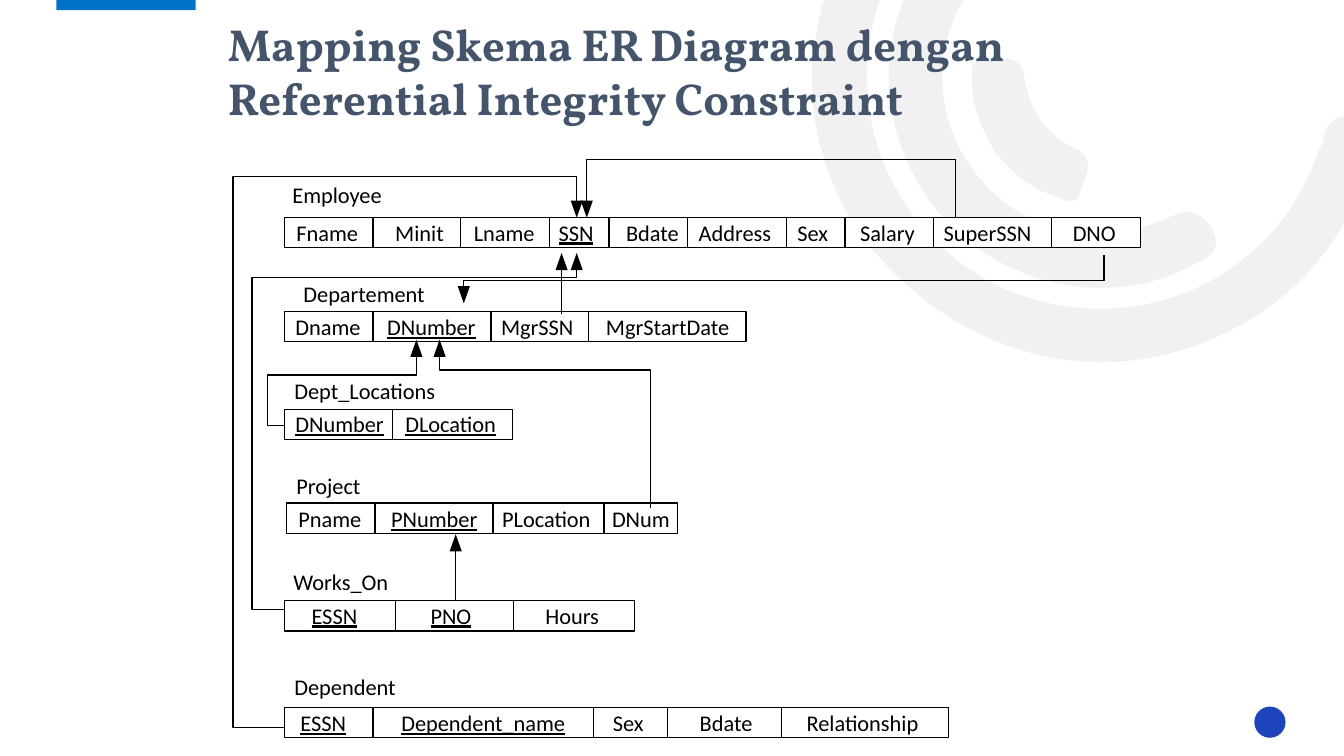
"""Build the slide on mapping an ER diagram with referential integrity."""
from dataclasses import dataclass

from lxml import etree
from pptx import Presentation
from pptx import util as u
from pptx.dml.color import RGBColor
from pptx.enum import shapes, text
from pptx.oxml.ns import qn


@dataclass(frozen=True)
class Theme:
    """Hold the colours, fonts and sizes of the slide."""
    title: str = "44546A"
    ink: str = "000000"
    paper: str = "FFFFFF"
    swirl: str = "E7E6E6"
    swirl_alpha: int = 53
    bar: str = "0072C7"
    dot: str = "1E44BC"
    head_font: str = "Vollkorn"
    body_font: str = "Calibri"
    head_size: int = 32
    body_size: int = 16
    line: float = 0.88
    thin: float = 0.75


T = Theme()
ROW_HEIGHT = 0.3
LABEL_HEIGHT = 0.27

TABLES = [
    ("Employee", (2.90, 1.80, 1.09), 2.82, 2.16, 0.01, [
        (0.88, 0.12, 0.75, "Fname", False), (0.87, 0.22, 0.51, "Minit", False),
        (0.88, 0.13, 0.75, "Lname", False), (0.59, 0.09, 0.39, "SSN", True),
        (0.78, 0.17, 0.66, "Bdate", False), (0.98, 0.11, 0.86, "Address", False),
        (0.58, 0.11, 0.36, "Sex", False), (0.88, 0.15, 0.65, "Salary", False),
        (1.17, 0.10, 1.01, "SuperSSN", False), (0.88, 0.21, 0.53, "DNO", False)]),
    ("Departement", (3.01, 2.78, 1.47), 2.82, 3.09, 0.02, [
        (0.88, 0.11, 0.81, "Dname", False), (1.17, 0.14, 1.05, "DNumber", True),
        (0.97, 0.10, 0.84, "MgrSSN", False), (1.56, 0.17, 1.45, "MgrStartDate", False)]),
    ("Dept_Locations", (2.92, 3.74, 1.69), 2.82, 4.06, 0.01, [
        (1.07, 0.11, 1.05, "DNumber", True), (1.19, 0.13, 1.12, "DLocation", True)]),
    ("Project", (2.94, 4.68, 0.76), 2.84, 4.99, 0.02, [
        (0.88, 0.12, 0.78, "Pname", False), (1.17, 0.16, 1.01, "PNumber", True),
        (1.10, 0.09, 1.09, "PLocation", False), (0.73, 0.08, 0.68, "DNum", False)]),
    ("Works_On", (2.91, 5.64, 1.07), 2.82, 5.96, 0.01, [
        (1.10, 0.27, 0.51, "ESSN", True), (1.17, 0.35, 0.49, "PNO", True),
        (1.20, 0.32, 0.59, "Hours", False)]),
    ("Dependent", (2.92, 6.68, 1.26), 2.82, 7.02, 0.02, [
        (0.88, 0.16, 0.51, "ESSN", True), (2.19, 0.28, 2.02, "Dependent_name", True),
        (0.73, 0.19, 0.36, "Sex", False), (1.13, 0.32, 0.66, "Bdate", False),
        (1.66, 0.25, 1.31, "Relationship", False)]),
]

LINKS = [
    [(4.52, 5.95), (4.52, 5.30)],
    [(2.82, 7.22), (2.31, 7.22), (2.31, 1.75), (5.72, 1.75), (5.72, 2.16)],
    [(2.82, 6.05), (2.50, 6.05), (2.50, 2.75), (5.72, 2.75), (5.72, 2.51)],
    [(6.45, 5.04), (6.45, 3.67), (4.36, 3.67), (4.36, 3.37)],
    [(2.65, 4.22), (2.65, 3.72), (4.13, 3.72), (4.13, 3.37)],
    [(5.57, 3.12), (5.57, 2.51)],
    [(10.95, 2.53), (10.95, 2.78), (4.60, 2.78), (4.60, 3.01)],
    [(9.48, 1.58), (5.82, 1.58), (5.82, 2.16)],
]
SPURS = [((9.48, 1.58), (9.48, 2.16), T.line), ((2.65, 4.22), (2.82, 4.22), T.thin)]

SWIRLS = [
    [(8.51, 2.29), (7.99, 1.49, 7.87, 0.5, 8.38, -0.5),
     (8.9, -1.52, 9.76, -2.03, 10.9, -2.07), (11.05, -2.07, 11.21, -2.1, 11.31, -1.95),
     (11.44, -1.75, 11.27, -1.54, 10.98, -1.54), (9.67, -1.54, 8.65, -0.59, 8.6, 0.68),
     (8.56, 1.81, 9.36, 2.81, 10.46, 3.02), (11.6, 3.24, 12.7, 2.61, 13.07, 1.52),
     (13.09, 1.48, 13.11, 1.44, 13.12, 1.4), (13.16, 1.19, 13.27, 1.11, 13.49, 1.17),
     (13.73, 1.24, 13.67, 1.41, 13.61, 1.56), (13.34, 2.45, 12.78, 3.07, 11.91, 3.41),
     (10.7, 3.87, 9.36, 3.45, 8.51, 2.29)],
    [(9.22, 1.99), (8.62, 1.15, 8.69, 0.07, 9.4, -0.68),
     (9.51, -0.79, 9.62, -0.95, 9.8, -0.78), (9.95, -0.64, 9.97, -0.5, 9.79, -0.32),
     (9.25, 0.26, 9.2, 1.08, 9.65, 1.68), (10.08, 2.29, 10.88, 2.49, 11.61, 2.15),
     (11.82, 2.05, 11.93, 2.12, 12.03, 2.29), (12.13, 2.5, 11.97, 2.56, 11.83, 2.63),
     (10.96, 3.1, 9.83, 2.82, 9.22, 1.99)],
    [(9.87, 1.51), (9.75, 1.3, 9.64, 1.07, 9.64, 0.82),
     (9.64, 0.73, 9.61, 0.57, 9.76, 0.58), (9.92, 0.59, 10.13, 0.53, 10.16, 0.76),
     (10.21, 1.1, 10.36, 1.32, 10.67, 1.48), (10.88, 1.57, 10.76, 1.76, 10.72, 1.89),
     (10.68, 2.06, 10.55, 1.98, 10.45, 1.94), (10.21, 1.87, 10.03, 1.7, 9.87, 1.51)],
]


def cm(*inches):
    """Turn lengths in inches into Cm lengths."""
    return [u.Cm(v * 2.54) for v in inches]


def apply(obj, formats):
    """Set each attribute named in formats."""
    for name, value in formats.items():
        setattr(obj, name, value)


def paint(s, fill=None, line=None):
    """Give a shape a plain fill and line without shadow."""
    s.shadow.inherit = False
    if fill:
        s.fill.solid()
        s.fill.fore_color.rgb = RGBColor.from_string(fill)
    else:
        s.fill.background()
    if line:
        s.line.color.rgb = RGBColor.from_string(line)
        s.line.width = u.Pt(T.line)
    else:
        s.line.fill.background()
    return s


def write(p, words, size, font, color, **formats):
    """Add a formatted run to a paragraph."""
    r = p.add_run()
    r.text = words
    apply(r.font, {"size": u.Pt(size), "name": font, **formats})
    r.font.color.rgb = RGBColor.from_string(color)


def outline(sp, points, close, fill=None, line=None):
    """Draw a freeform through points given in inches."""
    start, *rest = [cm(*point) for point in points]
    builder = sp.build_freeform(*start)
    builder.add_line_segments(rest, close=close)
    return paint(builder.convert_to_shape(), fill, line)


def swirl(sp, start, *curves):
    """Draw a translucent background arc of Bézier curves."""
    s = outline(sp, [start, *(curve[4:] for curve in curves)], True, T.swirl)
    segments = s.element.spPr.findall(".//" + qn("a:lnTo"))
    for segment, curve in zip(segments, curves):
        bezier = etree.Element(qn("a:cubicBezTo"))
        for x, y in zip(cm(*curve[::2]), cm(*curve[1::2])):
            pt = etree.SubElement(bezier, qn("a:pt"))
            pt.set("x", str(x - s.left))
            pt.set("y", str(y - s.top))
        segment.getparent().replace(segment, bezier)
    color = s.element.spPr.find(".//" + qn("a:srgbClr"))
    etree.SubElement(color, qn("a:alpha")).set("val", str(T.swirl_alpha * 1000))


def preset(sp, kind, box, fill, line=None):
    """Draw a preset shape in a box given in inches."""
    return paint(sp.add_shape(kind, *cm(*box)), fill, line)


def label(sp, x, y, width, words, key=False):
    """Write a one-line label, underlined for a key."""
    tf = sp.add_textbox(*cm(x, y, width, LABEL_HEIGHT)).text_frame
    apply(tf, {"margin_left": 0, "margin_right": 0, "margin_top": 0, "margin_bottom": 0,
               "word_wrap": False, "auto_size": text.MSO_AUTO_SIZE.SHAPE_TO_FIT_TEXT})
    formats = {"underline": True} if key else {}
    write(tf.paragraphs[0], words, T.body_size, T.body_font, T.ink, **formats)


def relation(sp, name, name_place, x, y, drop, cells):
    """Draw a relation's name and its row of attributes."""
    label(sp, *name_place, name)
    for width, inset, label_width, attribute, key in cells:
        preset(sp, shapes.MSO_SHAPE.RECTANGLE, (x, y, width, ROW_HEIGHT), T.paper, T.ink)
        label(sp, x + inset, y + drop, label_width, attribute, key)
        x += width


def straight(sp, start, end, width=T.line):
    """Draw a straight line."""
    c = sp.add_connector(shapes.MSO_CONNECTOR.STRAIGHT, *cm(*start, *end))
    c.line.color.rgb = RGBColor.from_string(T.ink)
    c.line.width = u.Pt(width)
    etree.SubElement(c.element.spPr, qn("a:effectLst"))


def link(sp, points):
    """Draw a foreign key line that ends in an arrowhead."""
    *bends, (x, tip) = points
    base = tip + (0.17 if bends[-1][1] > tip else -0.17)
    stops = [*bends, (x, base)]
    if len(stops) == 2:
        straight(sp, *stops)
    else:
        outline(sp, stops, False, line=T.ink)
    outline(sp, [(x - 0.06, base), (x, tip), (x + 0.06, base)], True, T.ink)


def heading(s, words):
    """Place and format the title."""
    apply(s, dict(zip(("left", "top", "width", "height"), cm(2.16, 0.12, 9.08, 1.17))))
    tf = s.text_frame
    apply(tf, {"word_wrap": True, "vertical_anchor": text.MSO_ANCHOR.TOP,
               "auto_size": text.MSO_AUTO_SIZE.SHAPE_TO_FIT_TEXT})
    p = tf.paragraphs[0]
    p.alignment = text.PP_ALIGN.LEFT
    write(p, words, T.head_size, T.head_font, T.title, bold=True)


def main():
    """Build and save the slide."""
    prs = Presentation()
    apply(prs, dict(zip(("slide_width", "slide_height"), cm(13.33, 7.5))))
    sp = prs.slides.add_slide(prs.slide_layouts[5]).shapes
    for curves in SWIRLS:
        swirl(sp, *curves)
    preset(sp, shapes.MSO_SHAPE.RECTANGLE, (0.56, -0.02, 1.38, 0.12), T.bar)
    preset(sp, shapes.MSO_SHAPE.OVAL, (12.44, 7.01, 0.31, 0.31), T.dot)
    heading(sp.title, "Mapping Skema ER Diagram dengan Referential Integrity Constraint")
    sp.title.element.getparent().append(sp.title.element)
    for table in TABLES:
        relation(sp, *table)
    for points in LINKS:
        link(sp, points)
    for spur in SPURS:
        straight(sp, *spur)
    prs.save("out.pptx")


if __name__ == "__main__":
    main()
